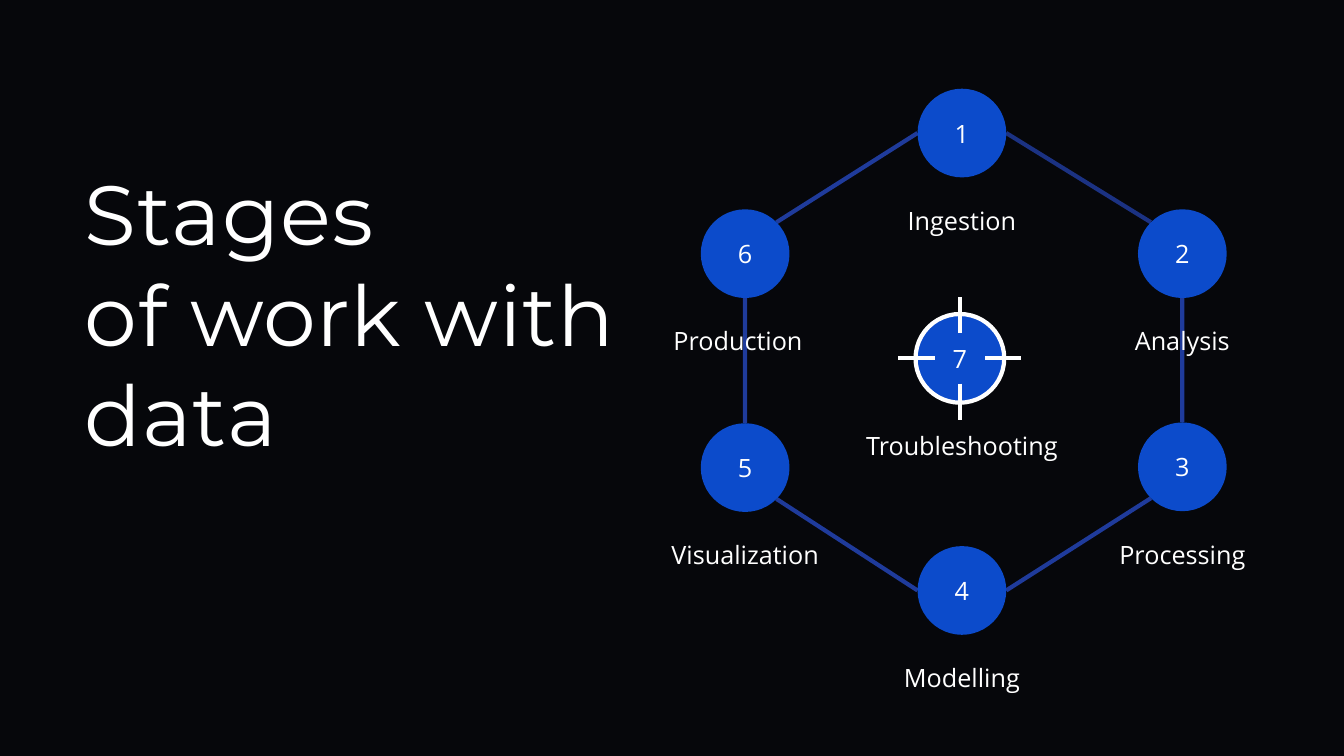
from dataclasses import dataclass
from math import cos, radians, sin

from lxml.etree import SubElement
from pptx import Presentation
from pptx.dml.color import RGBColor
from pptx.enum.shapes import MSO_CONNECTOR as Connector, MSO_SHAPE as Preset
from pptx.enum.text import MSO_ANCHOR as Anchor, PP_ALIGN as Align
from pptx.oxml.ns import qn
from pptx.util import Inches, Length, Pt

WIDTH, HEIGHT = Inches(13.33), Inches(7.5)
COLUMN, ROW = WIDTH / 100, HEIGHT / 100
RADIUS = 3.3 * COLUMN
LABEL_WIDTH, LABEL_HEIGHT = 14.48 * COLUMN, 9.2 * ROW
LABEL_DROP = 9.56 * ROW
ARM_START, ARM_END = 1.88 * COLUMN, 4.58 * COLUMN


@dataclass(frozen=True)
class Theme:
    background: RGBColor = RGBColor.from_string("06070B")
    circle: RGBColor = RGBColor.from_string("0C4BCB")
    link: RGBColor = RGBColor.from_string("315EFB")
    white: RGBColor = RGBColor.from_string("FFFFFF")
    title_font: str = "Montserrat"
    body_font: str = "Open Sans"
    title_size: Length = Pt(60)
    body_size: Length = Pt(18)
    stroke: Length = Pt(3)
    title_spacing: int = 60


@dataclass(frozen=True)
class Stage:
    label: str
    column: float
    row: float
    label_shift: float = 0

    def rim(self, angle: float, distance: float = RADIUS) -> tuple[float, float]:
        turn = radians(angle)
        return (self.column * COLUMN + distance * cos(turn),
                self.row * ROW + distance * sin(turn))


@dataclass(frozen=True)
class Link:
    start: int
    start_angle: float
    end: int
    end_angle: float
    opacity: int = 60


THEME = Theme()
LEFT, MIDDLE, RIGHT = 55.44, 71.57, 87.97
STAGES = [
    Stage("Ingestion", MIDDLE, 17.6),
    Stage("Analysis", RIGHT, 33.55),
    Stage("Processing", RIGHT, 61.75),
    Stage("Modelling", MIDDLE, 78.1),
    Stage("Visualization", LEFT, 61.85),
    Stage("Production", LEFT, 33.55, -0.53),
    Stage("Troubleshooting", 71.42, 47.4, 0.15),
]
LINKS = [
    Link(1, 0, 2, 225, 49),
    Link(2, 90, 3, 270),
    Link(3, 135, 4, 0),
    Link(4, 180, 5, 45),
    Link(5, 270, 6, 90),
    Link(6, 315, 1, 180),
]


def draw_line(page, start: tuple[float, float], end: tuple[float, float],
              color: RGBColor, opacity: int = 100) -> None:
    line = page.shapes.add_connector(
        Connector.STRAIGHT, *(Length(round(value)) for value in (*start, *end)))
    line.line.color.rgb = color
    line.line.width = THEME.stroke
    properties = line._element.spPr
    if opacity < 100:
        color_node = properties.find(".//" + qn("a:srgbClr"))
        SubElement(color_node, qn("a:alpha")).set("val", str(opacity * 1000))
    SubElement(properties, qn("a:effectLst"))


def write(shape, text: str, size: Length, font: str, anchor: Anchor,
          align: Align, margin: Length = Inches(0)) -> None:
    frame = shape.text_frame
    frame.text = text
    frame.word_wrap = True
    frame.vertical_anchor = anchor
    frame.margin_left = frame.margin_right = margin
    frame.margin_top = frame.margin_bottom = margin
    for para in frame.paragraphs:
        para.alignment = align
        for span in para.runs:
            span.font.size = size
            span.font.name = font
            span.font.color.rgb = THEME.white


def add_box(page, left: float, top: float, width: float, height: float):
    return page.shapes.add_textbox(
        *(Length(round(value)) for value in (left, top, width, height)))


def draw_title(page) -> None:
    box = add_box(page, 6.3 * COLUMN, 27.33 * ROW, 42.76 * COLUMN, 28 * ROW)
    write(box, "Stages\nof work with data", THEME.title_size, THEME.title_font,
          Anchor.MIDDLE, Align.LEFT)
    for para in box.text_frame.paragraphs:
        for span in para.runs:
            span._r.get_or_add_rPr().set("spc", str(THEME.title_spacing))


def draw_stage(page, number: int, stage: Stage, outlined: bool) -> None:
    center_x, center_y = stage.rim(0, 0)
    top = center_y - RADIUS
    label = add_box(page, center_x + stage.label_shift * COLUMN - LABEL_WIDTH / 2,
                    top + LABEL_DROP + 2 * ROW * 2.95, LABEL_WIDTH, LABEL_HEIGHT)
    label.top = Length(round(top + 15.4 * ROW))
    write(label, stage.label, THEME.body_size, THEME.body_font,
          Anchor.TOP, Align.CENTER)

    circle = page.shapes.add_shape(Preset.OVAL, *(
        Length(round(value))
        for value in (center_x - RADIUS, top, 2 * RADIUS, 2 * RADIUS)))
    circle.shadow.inherit = False
    circle.fill.solid()
    circle.fill.fore_color.rgb = THEME.circle
    if outlined:
        circle.line.color.rgb = THEME.white
        circle.line.width = THEME.stroke
    else:
        circle.line.fill.background()
    write(circle, str(number), THEME.body_size, THEME.body_font,
          Anchor.MIDDLE, Align.CENTER, Inches(0.04))


def main() -> None:
    deck = Presentation()
    deck.slide_width, deck.slide_height = WIDTH, HEIGHT
    page = deck.slides.add_slide(deck.slide_layouts[6])
    page.background.fill.solid()
    page.background.fill.fore_color.rgb = THEME.background

    for link in LINKS:
        draw_line(page, STAGES[link.start - 1].rim(link.start_angle),
                  STAGES[link.end - 1].rim(link.end_angle),
                  THEME.link, link.opacity)
    draw_title(page)
    for number, stage in enumerate(STAGES, start=1):
        draw_stage(page, number, stage, number == len(STAGES))
    target = STAGES[-1]
    for angle in range(0, 360, 90):
        draw_line(page, target.rim(angle, ARM_START),
                  target.rim(angle, ARM_END), THEME.white)
    deck.save("out.pptx")


if __name__ == "__main__":
    main()
